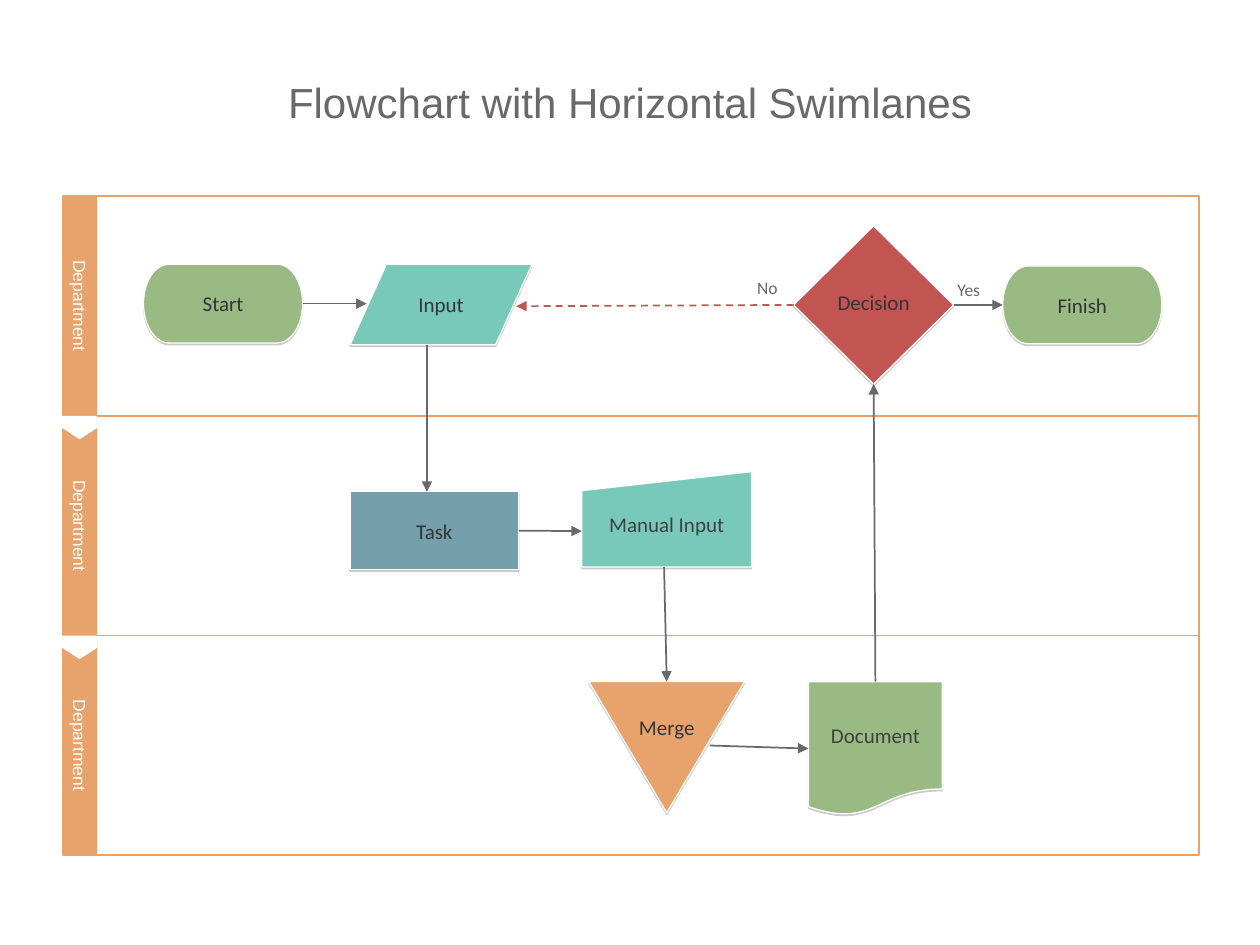
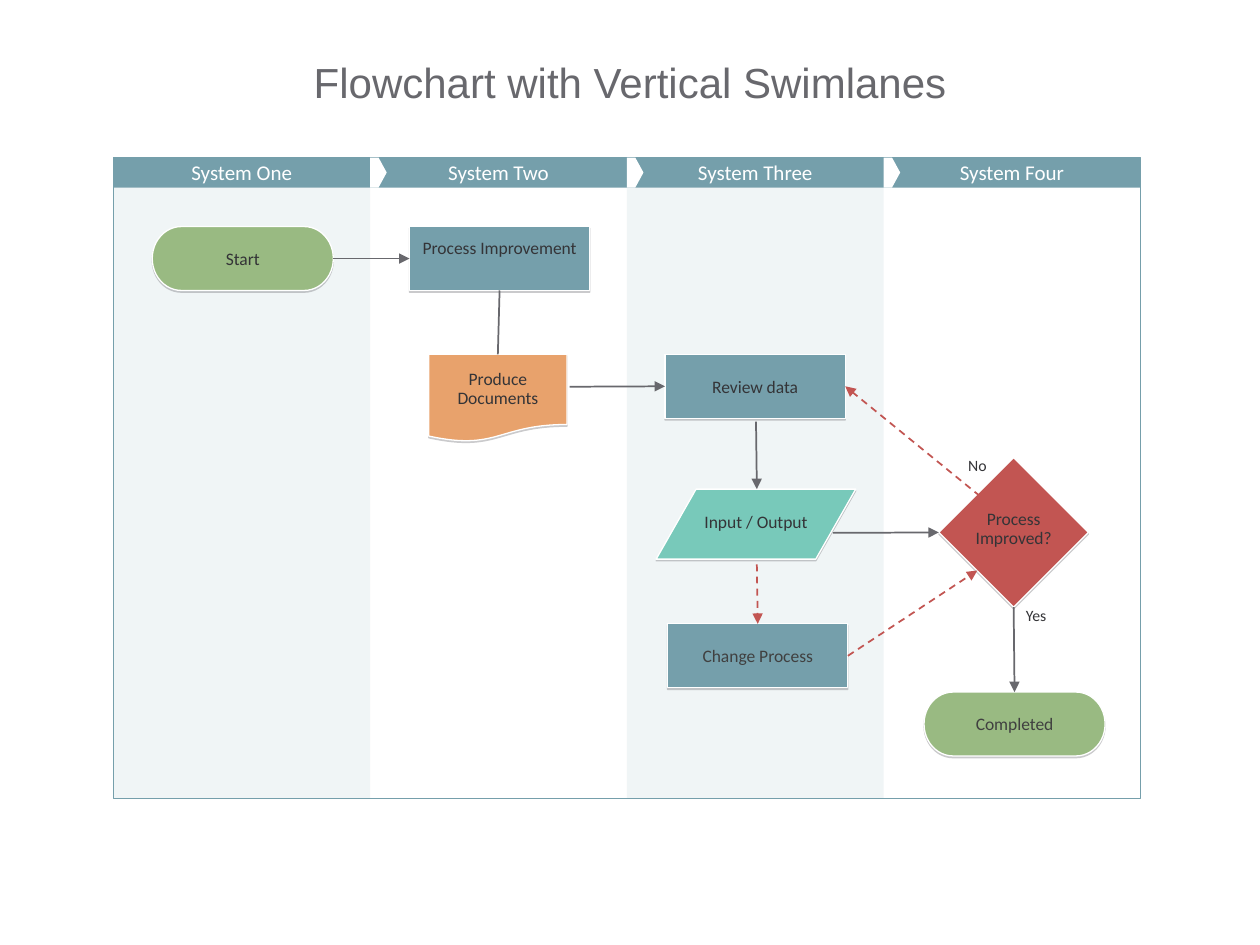
from lxml import etree
from pptx import Presentation, util as u
from pptx.dml import color
from pptx.enum import dml, shapes, text
from pptx.oxml import ns

GRAY, INK, SOFT_INK, WHITE = "68686D", "343437", "404040", "FFFFFF"
GREEN, TEAL, BLUE, ORANGE, RED = "99BA82", "78C9BA", "759FAB", "E8A26C", "C25552"
KIND = shapes.MSO_SHAPE
TERMINATOR, DATA = KIND.FLOWCHART_TERMINATOR, KIND.FLOWCHART_DATA
PROCESS, DOCUMENT = KIND.FLOWCHART_PROCESS, KIND.FLOWCHART_DOCUMENT
DECISION = KIND.FLOWCHART_DECISION
TOP, LEFT, BOTTOM, RIGHT = range(4)


def paint(fill, hex_color):
    """Give the fill of a shape, line or font one solid colour."""
    fill.solid()
    fill.fore_color.rgb = color.RGBColor.from_string(hex_color)


def write(box, content, size=12, ink=INK, font="Calibri", wrap=False,
          spacing=1.0, inset_top=0, inset_bottom=0):
    """Centre text in a box; a line break in the text stays in one paragraph."""
    frame = box.text_frame
    frame.word_wrap = wrap
    frame.vertical_anchor = text.MSO_ANCHOR.MIDDLE
    frame.margin_left = frame.margin_right = 0
    frame.margin_top, frame.margin_bottom = u.Pt(inset_top), u.Pt(inset_bottom)
    para = frame.paragraphs[0]
    para.text = content.replace("\n", "\v")
    para.alignment = text.PP_ALIGN.CENTER
    para.line_spacing = spacing
    for span in para.runs:
        span.font.size = u.Pt(size)
        span.font.name = font
        paint(span.font.fill, ink)


deck = Presentation()
deck.slide_width, deck.slide_height = u.Pt(720), u.Pt(540)
horizontal, vertical = [deck.slides.add_slide(deck.slide_layouts[6]) for _ in range(2)]

# Lane geometry of both slides
ROW_LEFT, ROW_TOP, ROW_WIDTH, ROW_HEIGHT, ROW_BAND = 36, 112, 649, 125.6, 19.5
COL_LEFT, COL_TOP, COL_WIDTH, COL_HEIGHT, COL_BAND = 64.8, 90, 146.7, 366.5, 17.2
systems = ["System One", "System Two", "System Three", "System Four"]

# Bands and outer frames: page, left, top, width, height, fill, line, line width
panels = [
    (horizontal, ROW_LEFT, ROW_TOP, ROW_BAND, 3 * ROW_HEIGHT, ORANGE, None, 0),
    (horizontal, ROW_LEFT, ROW_TOP, ROW_WIDTH, 3 * ROW_HEIGHT, None, ORANGE, 1),
    (vertical, COL_LEFT, COL_TOP, 4 * COL_WIDTH, COL_BAND, BLUE, None, 0),
    (vertical, COL_LEFT, COL_TOP, 4 * COL_WIDTH, COL_HEIGHT, None, BLUE, 0.5),
]
for page, left, top, width, height, fill, line, line_width in panels:
    panel = page.shapes.add_shape(KIND.RECTANGLE, u.Pt(left), u.Pt(top), u.Pt(width), u.Pt(height))
    panel.shadow.inherit = False
    if fill:
        paint(panel.fill, fill)
        panel.line.fill.background()
    else:
        panel.fill.background()
        paint(panel.line.fill, line)
        panel.line.width = u.Pt(line_width)

# Row labels and dividers; the notches between lanes are collected for both slides
notches = []
for row in range(3):
    top = ROW_TOP + row * ROW_HEIGHT
    label = horizontal.shapes.add_textbox(
        u.Pt(ROW_LEFT + ROW_BAND / 2 - ROW_HEIGHT / 2),
        u.Pt(top + ROW_HEIGHT / 2 - ROW_BAND / 2), u.Pt(ROW_HEIGHT), u.Pt(ROW_BAND))
    label.rotation = 90
    write(label, "Department", size=10, ink=WHITE, font="Arial")
    if row:
        divider = horizontal.shapes.add_connector(
            shapes.MSO_CONNECTOR.STRAIGHT, u.Pt(ROW_LEFT + ROW_BAND), u.Pt(top),
            u.Pt(ROW_LEFT + ROW_WIDTH), u.Pt(top))
        paint(divider.line.fill, ORANGE)
        divider.line.width = u.Pt(1)
        etree.SubElement(divider.element.spPr, ns.qn("a:effectLst"))
        left, right = ROW_LEFT - 0.5, ROW_LEFT + ROW_BAND
        notches.append((horizontal, [(left, top), (right, top), (right, top + 7),
                                     ((left + right) / 2, top + 13.5), (left, top + 7)]))

# Column labels and the tint of every other column
for column, system in enumerate(systems):
    left = COL_LEFT + column * COL_WIDTH
    if column % 2 == 0:
        tint = vertical.shapes.add_shape(
            KIND.RECTANGLE, u.Pt(left), u.Pt(COL_TOP + COL_BAND),
            u.Pt(COL_WIDTH), u.Pt(COL_HEIGHT - COL_BAND))
        tint.shadow.inherit = False
        paint(tint.fill, BLUE)
        tint.line.fill.background()
        shade = tint.element.spPr.find(ns.qn("a:solidFill"))[0]
        etree.SubElement(shade, ns.qn("a:alpha"), val="10000")
    label = vertical.shapes.add_textbox(
        u.Pt(left), u.Pt(COL_TOP - 0.5), u.Pt(COL_WIDTH), u.Pt(COL_BAND))
    write(label, system, ink=WHITE)
    if column:
        bottom = COL_TOP + COL_BAND
        notches.append((vertical, [(left, COL_TOP), (left + 4.8, COL_TOP),
                                   (left + 9.5, (COL_TOP + bottom) / 2),
                                   (left + 4.8, bottom), (left, bottom)]))

for page, corners in notches:
    points = [(u.Pt(x), u.Pt(y)) for x, y in corners]
    builder = page.shapes.build_freeform(*points[0])
    builder.add_line_segments(points[1:], close=True)
    notch = builder.convert_to_shape()
    notch.shadow.inherit = False
    paint(notch.fill, WHITE)
    notch.line.fill.background()

# Steps: text, kind, fill, left, top, width, height, extra text format
horizontal_steps = [
    ("Start", TERMINATOR, GREEN, 82, 151, 91, 45, {}),
    ("Input", DATA, TEAL, 200, 151, 104, 46, {}),
    ("Task", PROCESS, BLUE, 200, 281, 96.5, 44.5, {}),
    ("Manual Input", KIND.FLOWCHART_MANUAL_INPUT, TEAL, 332.5, 269.5, 97, 54.5,
     {"ink": SOFT_INK, "inset_bottom": 5}),
    ("Merge", KIND.FLOWCHART_MERGE, ORANGE, 336.5, 389.5, 89, 75, {"inset_top": 14}),
    ("Document", DOCUMENT, GREEN, 462, 389.5, 76.5, 76.5, {"ink": SOFT_INK}),
    ("Decision", DECISION, RED, 453.5, 129, 91.5, 90.5, {"inset_bottom": 3}),
    ("Finish", TERMINATOR, GREEN, 573, 152, 91, 44.5, {}),
]
vertical_steps = [
    ("Start", TERMINATOR, GREEN, 87, 129.5, 103.5, 36.5, {}),
    ("Process Improvement", PROCESS, BLUE, 234, 129.5, 103, 36.5, {"inset_bottom": 13}),
    ("Process\nImproved?", DECISION, RED, 536.5, 261.5, 85.5, 85.5,
     {"spacing": 0.9, "inset_bottom": 3}),
    ("Input / Output", DATA, TEAL, 375, 279.5, 114, 40, {"inset_bottom": 3}),
    ("Produce\nDocuments", DOCUMENT, ORANGE, 245, 202.5, 79, 50, {"spacing": 0.9}),
    ("Completed", TERMINATOR, GREEN, 528, 395.5, 103.5, 36.5, {"ink": SOFT_INK}),
    ("Review data", PROCESS, BLUE, 380, 202.5, 103, 36.5, {}),
    ("Change Process", PROCESS, BLUE, 381.5, 356.5, 103, 36.5, {"ink": SOFT_INK}),
]

# Links: start, end, style; an end is a point or a step with one of its sides
horizontal_links = [
    (("Start", RIGHT), (209.5, 173.5), "arrow"),
    ((244, 197), (244, 281), "arrow"),
    (("Task", RIGHT), (332.5, 303.5), "arrow"),
    ((379.5, 324), (381, 389.5), "arrow"),
    ((405.5, 426), ("Document", LEFT), "arrow"),
    (("Document", TOP), ("Decision", BOTTOM), "arrow"),
    (("Decision", RIGHT), ("Finish", LEFT), "arrow"),
    (("Decision", LEFT), (295, 175), "return"),
]
vertical_links = [
    (("Start", RIGHT), ("Process Improvement", LEFT), "arrow"),
    (("Process Improvement", BOTTOM), ("Produce\nDocuments", TOP), "plain"),
    ((325.5, 221), ("Review data", LEFT), "arrow"),
    ((432, 241), (432.5, 279.5), "arrow"),
    ((432.5, 322.5), ("Change Process", TOP), "return"),
    (("Change Process", RIGHT), (558.5, 326), "return"),
    ((476, 304.5), ("Process\nImproved?", LEFT), "arrow"),
    (("Process\nImproved?", BOTTOM), ("Completed", TOP), "arrow"),
    ((560, 283.5), ("Review data", RIGHT), "return"),
]

# Answers beside the decision: text, centre x, centre y
horizontal_answers = [("No", 438.5, 164.5), ("Yes", 553.5, 165.5)]
vertical_answers = [("No", 558.5, 266), ("Yes", 592, 351.5)]

charts = [
    (horizontal, "Flowchart with Horizontal Swimlanes", 40, 12, horizontal_steps,
     horizontal_links, horizontal_answers, 10, GRAY),
    (vertical, "Flowchart with Vertical Swimlanes", 28.5, 10, vertical_steps,
     vertical_links, vertical_answers, 9, INK),
]
for page, title, title_top, step_size, steps, links, answers, answer_size, answer_ink in charts:
    heading = page.shapes.add_textbox(0, u.Pt(title_top), deck.slide_width, u.Pt(36))
    write(heading, title, size=24, ink=GRAY, font="Arial", wrap=True)

    placed = {}
    for name, kind, fill, left, top, width, height, extra in steps:
        step = page.shapes.add_shape(kind, u.Pt(left), u.Pt(top), u.Pt(width), u.Pt(height))
        paint(step.fill, fill)
        paint(step.line.fill, WHITE)
        step.line.width = u.Pt(0.75)
        step.shadow.inherit = False
        effects = step.element.spPr.find(ns.qn("a:effectLst"))
        shadow = etree.SubElement(effects, ns.qn("a:outerShdw"), blurRad="0",
                                  dist=str(u.Pt(1)), dir="5400000", rotWithShape="0")
        tone = etree.SubElement(shadow, ns.qn("a:srgbClr"), val=GRAY)
        etree.SubElement(tone, ns.qn("a:alpha"), val="35000")
        write(step, name, size=step_size, **extra)
        placed[name] = step

    for start, end, style in links:
        start_point, end_point = [
            (0, 0) if point[0] in placed else (u.Pt(point[0]), u.Pt(point[1]))
            for point in (start, end)]
        link = page.shapes.add_connector(
            shapes.MSO_CONNECTOR.STRAIGHT, *start_point, *end_point)
        if start[0] in placed:
            link.begin_connect(placed[start[0]], start[1])
        if end[0] in placed:
            link.end_connect(placed[end[0]], end[1])
        paint(link.line.fill, RED if style == "return" else GRAY)
        link.line.width = u.Pt(1)
        if style == "return":
            link.line.dash_style = dml.MSO_LINE.DASH
        if style != "plain":
            outline = link.element.spPr.find(ns.qn("a:ln"))
            etree.SubElement(outline, ns.qn("a:tailEnd"), type="triangle")
        etree.SubElement(link.element.spPr, ns.qn("a:effectLst"))

    for answer, x, y in answers:
        box = page.shapes.add_textbox(u.Pt(x - 12), u.Pt(y - 7), u.Pt(24), u.Pt(14))
        write(box, answer, size=answer_size, ink=answer_ink)

deck.save("out.pptx")
